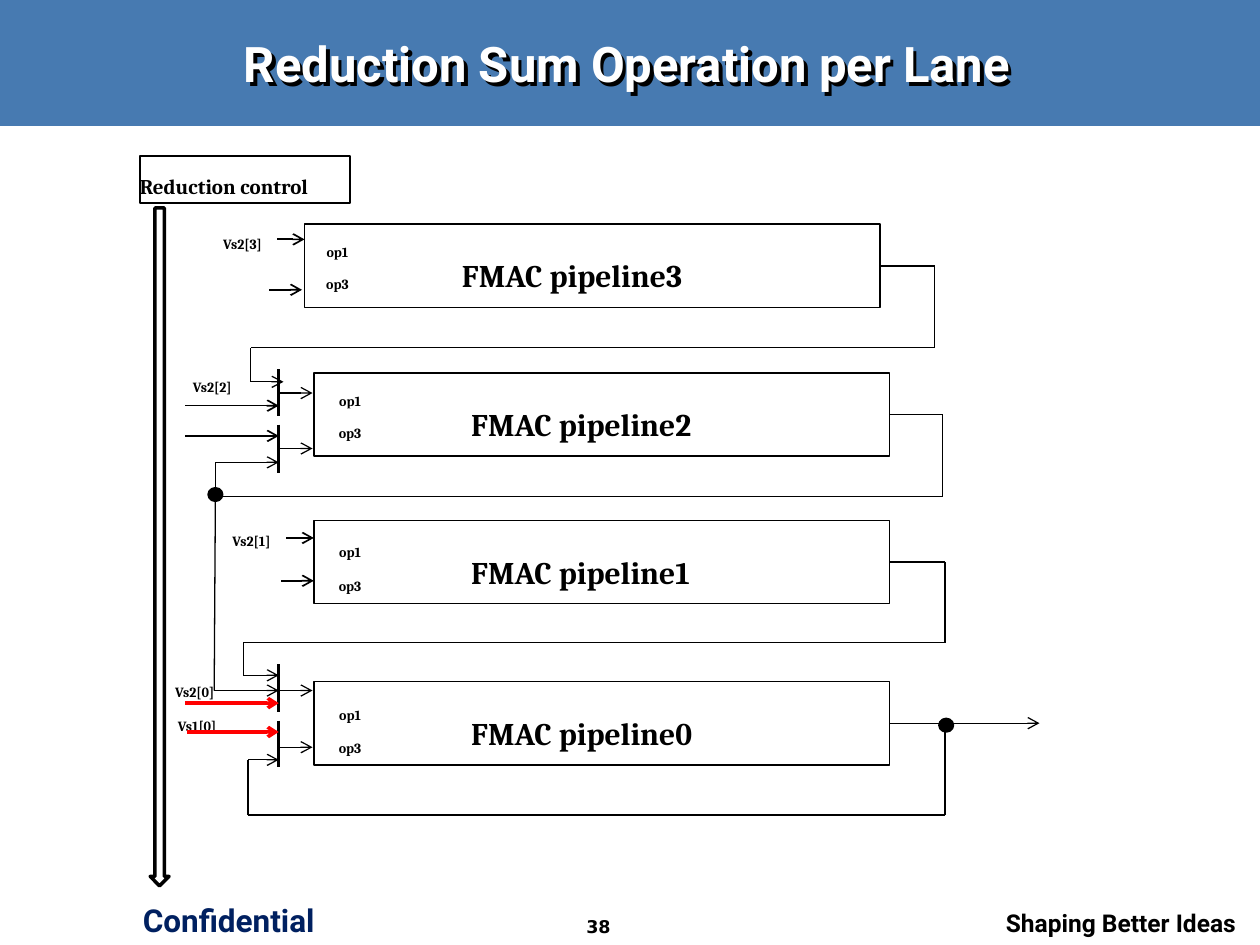
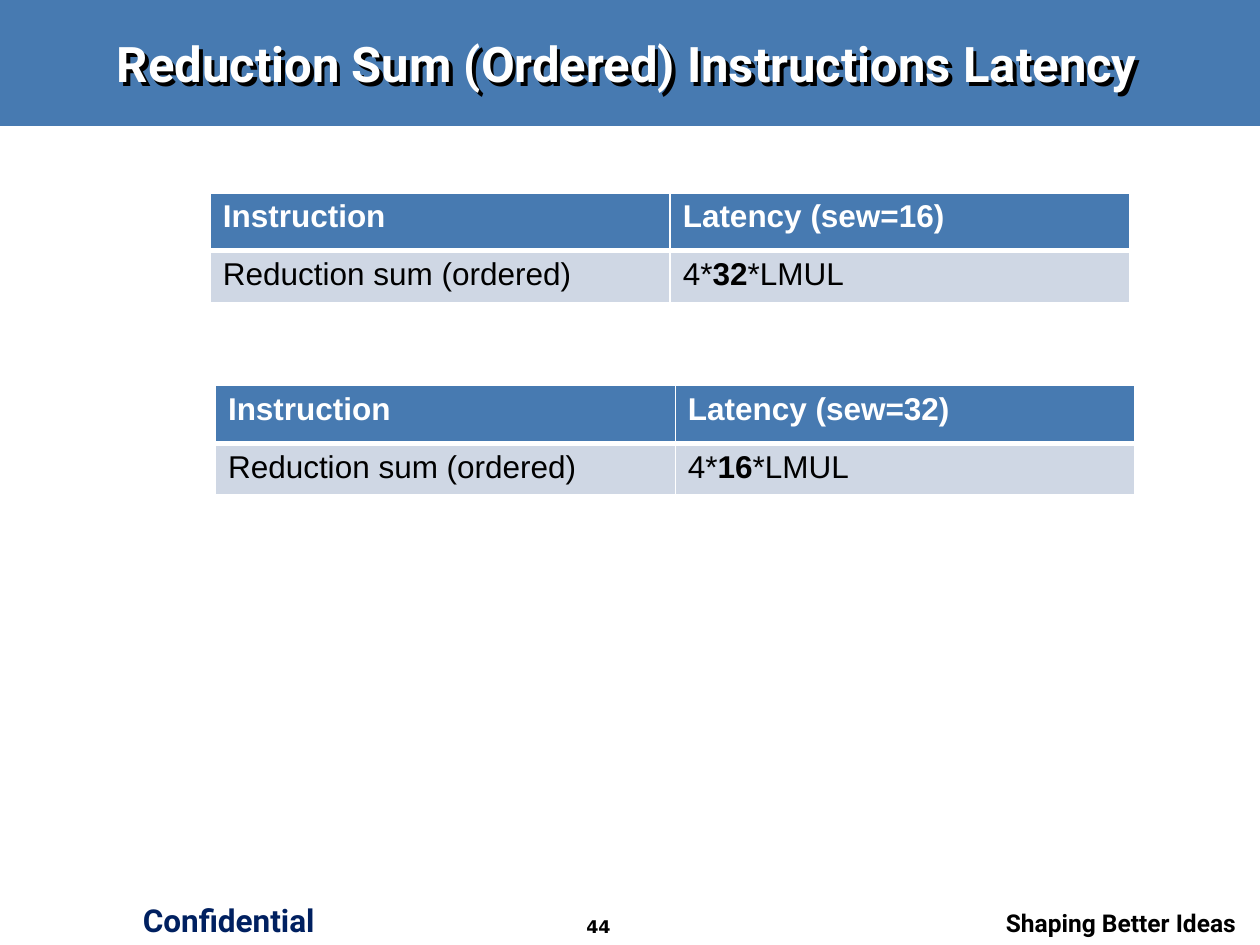
import pptx
import pptx.dml.color
import pptx.enum.shapes
import pptx.enum.text
import pptx.oxml
import pptx.oxml.ns
import pptx.util
from lxml import etree

Pt = pptx.util.Pt
Shape = pptx.enum.shapes.MSO_SHAPE
Align = pptx.enum.text.PP_ALIGN
Anchor = pptx.enum.text.MSO_ANCHOR

BLUE, NAVY, PALE = "477AB1", "002060", "CFD7E4"
BLACK, WHITE, RED = "000000", "FFFFFF", "FF0000"
NAMESPACE = pptx.oxml.ns.nsdecls("a")

TITLE_BOX = (15.8, 12.2, 684.7, 47.5)
PIPE_WIDTH, PIPE_HEIGHT = 329, 47.5
PIPE_MIDDLE = PIPE_HEIGHT / 2
MUX_X = -20
PIPELINES = [
    dict(name="FMAC pipeline0", corner=(179.3, 389.5), ops=(4.3, 5, 23.9),
         labels=[("Vs1[0]", -86.4, 11.5), ("Vs2[0]", -87.8, -7.9)],
         muxes=[(-10, 17.3, 5.1), (22.3, 49, 37.5)],
         inputs=[(-73.5, 12.3, MUX_X, RED, 2), (-72.7, 28.8, MUX_X, RED, 2)],
         feedback=(360.7, 76.3, -37.5, 44.7, MUX_X)),
    dict(name="FMAC pipeline1", corner=(179.3, 297.4), ops=(4.3, 4.3, 23.5),
         labels=[("Vs2[1]", -55.4, -2.2)], muxes=[],
         inputs=[(-15.7, 10, 0, BLACK, 1), (-18.7, 34.5, 0, BLACK, 1)],
         feedback=(360.7, 69.8, -40.3, 88.5, MUX_X)),
    dict(name="FMAC pipeline2", corner=(179.3, 213.1), ops=(4.3, 2.2, 20.2),
         labels=[("Vs2[2]", -77.8, -5.8)],
         muxes=[(-2.1, 24.5, 11.5), (29.5, 56.9, 43.2)],
         inputs=[(-73.5, 18.7, MUX_X, BLACK, 1), (-73.5, 36, MUX_X, BLACK, 1)],
         feedback=(359.3, 70.6, -56.2, 51.1, MUX_X)),
    dict(name="FMAC pipeline3", corner=(174, 128.2), ops=(2.4, 1.8, 20.2),
         labels=[("Vs2[3]", -55.2, -2.9)], muxes=[],
         inputs=[(-15.5, 8.6, 0, BLACK, 1), (-20.1, 37.4, -1.4, BLACK, 1)],
         feedback=(360.2, 70.5, -30.8, 90, -12)),
]


def rgb(code):
    """Turn a hex string into a colour."""
    return pptx.dml.color.RGBColor.from_string(code)


def set_all(target, values):
    """Set every attribute named in a dict."""
    for name, value in values.items():
        setattr(target, name, value)


def style_font(font, size, name, color=BLACK, bold=True):
    """Format a font."""
    set_all(font, dict(size=Pt(size), name=name, bold=bold))
    font.color.rgb = rgb(color)


def write(shape, text, size, name, color=BLACK, align=Align.CENTER,
          spacing=None, **frame_format):
    """Put one formatted paragraph into a shape."""
    frame = shape.text_frame
    set_all(frame, dict(word_wrap=True, **frame_format))
    para = frame.paragraphs[0]
    set_all(para, dict(alignment=align, line_spacing=spacing))
    span = para.add_run()
    span.text = text
    style_font(span.font, size, name, color)


def add_box(page, kind, box, fill=None, line=None, weight=1):
    """Add a preset shape with optional fill and outline."""
    shape = page.shapes.add_shape(kind, *map(Pt, box))
    shape.shadow.inherit = False
    if fill:
        shape.fill.solid()
        shape.fill.fore_color.rgb = rgb(fill)
    else:
        shape.fill.background()
    if line:
        shape.line.color.rgb = rgb(line)
        shape.line.width = Pt(weight)
    else:
        shape.line.fill.background()
    return shape


def add_wire(page, origin, points, color=BLACK, weight=0.75, arrow=True, source=None):
    """Draw straight segments through points, with an arrow on the last one."""
    left, top = origin
    spots = [(Pt(left + x), Pt(top + y)) for x, y in points]
    for number, (begin, end) in enumerate(zip(spots, spots[1:]), 1):
        line = page.shapes.add_connector(
            pptx.enum.shapes.MSO_CONNECTOR.STRAIGHT, *begin, *end)
        line.line.color.rgb = rgb(color)
        line.line.width = Pt(weight)
        if source is not None and number == 1:
            line.begin_connect(source, 3)
        if arrow and number == len(points) - 1:
            line.line._get_or_add_ln().append(
                pptx.oxml.parse_xml(f'<a:tailEnd {NAMESPACE} type="arrow"/>'))
        properties = line.element.find(pptx.oxml.ns.qn("p:spPr"))
        etree.SubElement(properties, pptx.oxml.ns.qn("a:effectLst"))


def add_dot(page, origin, x, y):
    """Draw a junction dot centred on a point."""
    left, top = origin
    add_box(page, Shape.OVAL, (left + x - 3.6, top + y - 3.3, 7.2, 6.6), BLACK, BLACK, 2)


def add_label(page, text, box):
    """Add a small borderless signal label."""
    write(add_box(page, Shape.RECTANGLE, box, WHITE), text, 8, "Cambria",
          spacing=1.5, vertical_anchor=Anchor.MIDDLE)


def add_block(page, text, box, size, indent=0):
    """Add an outlined block with left-aligned text."""
    block = add_box(page, Shape.RECTANGLE, box, WHITE, BLACK)
    write(block, text, size, "Cambria", align=Align.LEFT, spacing=1.5,
          vertical_anchor=Anchor.MIDDLE, margin_left=Pt(indent), margin_right=0)
    return block


def add_pipeline(page, name, corner, ops, labels, muxes, inputs, feedback):
    """Draw a pipeline with its inputs, multiplexers and feedback wire."""
    left, top = corner
    for text, x, y in labels:
        add_label(page, text, (left + x, top + y, 39.6, 23))
    block = add_block(page, name, (left, top, PIPE_WIDTH, PIPE_HEIGHT), 18, 90)
    op_x, *op_tops = ops
    for text, y in zip(("op1", "op3"), op_tops):
        add_label(page, text, (left + op_x, top + y, 33, 23))
    for upper, lower, exit_y in muxes:
        add_wire(page, corner, [(MUX_X, upper), (MUX_X, lower)], weight=1.75, arrow=False)
        add_wire(page, corner, [(MUX_X, exit_y), (-0.7, exit_y)])
    for start, y, end, color, weight in inputs:
        add_wire(page, corner, [(start, y), (end, y)], color, weight)
    turn, drop, back, entry_y, entry_x = feedback
    add_wire(page, corner, [(PIPE_WIDTH, PIPE_MIDDLE), (turn, PIPE_MIDDLE), (turn, drop),
                            (back, drop), (back, entry_y), (entry_x, entry_y)], source=block)


def add_control(page, box):
    """Draw the control block and the long arrow below it."""
    left, top, width, height = box
    add_block(page, "Reduction control", box, 12)
    add_box(page, Shape.DOWN_ARROW, (left + 5.8, top + height + 2.9, 10.8, 387.4),
            line=BLACK, weight=2)


def add_diagram(page):
    """Draw the four linked pipelines and their control."""
    for pipeline in PIPELINES:
        add_pipeline(page, **pipeline)
    last, third = PIPELINES[0]["corner"], PIPELINES[2]["corner"]
    add_wire(page, third, [(-56.2, 70.6), (-56.9, 181.5), (MUX_X, 181.5)])
    add_dot(page, third, -56.2, 69.5)
    add_wire(page, last, [(360.7, PIPE_MIDDLE), (414.7, PIPE_MIDDLE)])
    add_dot(page, last, 361.4, 24.9)
    add_control(page, (80, 89.3, 120.2, 26.6))


def set_borders(cell, bottom):
    """Give a cell white borders with its own bottom weight."""
    properties = cell._tc.get_or_add_tcPr()
    for place, (side, weight) in enumerate(zip("LRTB", (1, 1, 1, bottom))):
        properties.insert(place, pptx.oxml.parse_xml(
            f'<a:ln{side} {NAMESPACE} w="{Pt(weight)}"><a:solidFill>'
            f'<a:srgbClr val="{WHITE}"/></a:solidFill></a:ln{side}>'))


def add_latency_table(page, left, top, width_bits, factor):
    """Add a two-row latency table for one element width."""
    heights = (33.1, 29.5)
    table = page.shapes.add_table(
        2, 2, Pt(left), Pt(top), Pt(525.6), Pt(sum(heights))).table
    rows = [[["Instruction"], [f"Latency (sew={width_bits})"]],
            [["Reduction sum (ordered)"], ["4*", factor, "*LMUL"]]]
    looks = [(BLUE, WHITE, 3), (PALE, BLACK, 1)]
    for row, (texts, (fill, color, bottom)) in enumerate(zip(rows, looks)):
        table.rows[row].height = Pt(heights[row])
        for column, parts in enumerate(texts):
            cell = table.cell(row, column)
            cell.fill.solid()
            cell.fill.fore_color.rgb = rgb(fill)
            set_borders(cell, bottom)
            for part in parts:
                span = cell.text_frame.paragraphs[0].add_run()
                span.text = part
                style_font(span.font, 18, "Arial", color, row == 0 or part == factor)


def add_footer(page, number):
    """Add the three footer texts."""
    footers = [
        ("Confidential", (67.7, 511.2, 126, 30.2), 18, "Roboto", NAVY, Align.CENTER),
        ("Shaping Better Ideas", (542.9, 515.5, 170.6, 19.4), 14, "Roboto", BLACK, Align.RIGHT),
        (str(number), (308.9, 519.8, 66.2, 20.2), 10, "DejaVu Sans", BLACK, Align.CENTER),
    ]
    for text, box, size, font, color, align in footers:
        write(page.shapes.add_textbox(*map(Pt, box)), text, size, font, color, align)


def add_page(deck, title_text, number):
    """Add a page with its band, shadowed title and footer."""
    page = deck.slides.add_slide(deck.slide_layouts[5])
    title = page.shapes.title
    set_all(title, dict(zip(("left", "top", "width", "height"), map(Pt, TITLE_BOX))))
    write(title, title_text, 28, "Roboto", WHITE, vertical_anchor=Anchor.MIDDLE)
    title.fill.background()
    title.line.fill.background()
    title.element.find(pptx.oxml.ns.qn("p:spPr")).append(pptx.oxml.parse_xml(
        f'<a:effectLst {NAMESPACE}><a:outerShdw dist="38100" dir="2700000">'
        f'<a:srgbClr val="{BLACK}"/></a:outerShdw></a:effectLst>'))
    band = add_box(page, Shape.RECTANGLE, (0, 0, 720, 72), BLUE)
    title.element.addprevious(band.element)
    add_footer(page, number)
    return page


def main():
    """Build and save the deck."""
    deck = pptx.Presentation()
    set_all(deck, dict(slide_width=Pt(720), slide_height=Pt(540)))
    add_diagram(add_page(deck, "Reduction Sum Operation per Lane", 38))
    page = add_page(deck, "Reduction Sum (Ordered) Instructions Latency", 44)
    add_latency_table(page, 120.2, 110.2, 16, "32")
    add_latency_table(page, 123.1, 220.3, 32, "16")
    deck.save("out.pptx")


if __name__ == "__main__":
    main()
